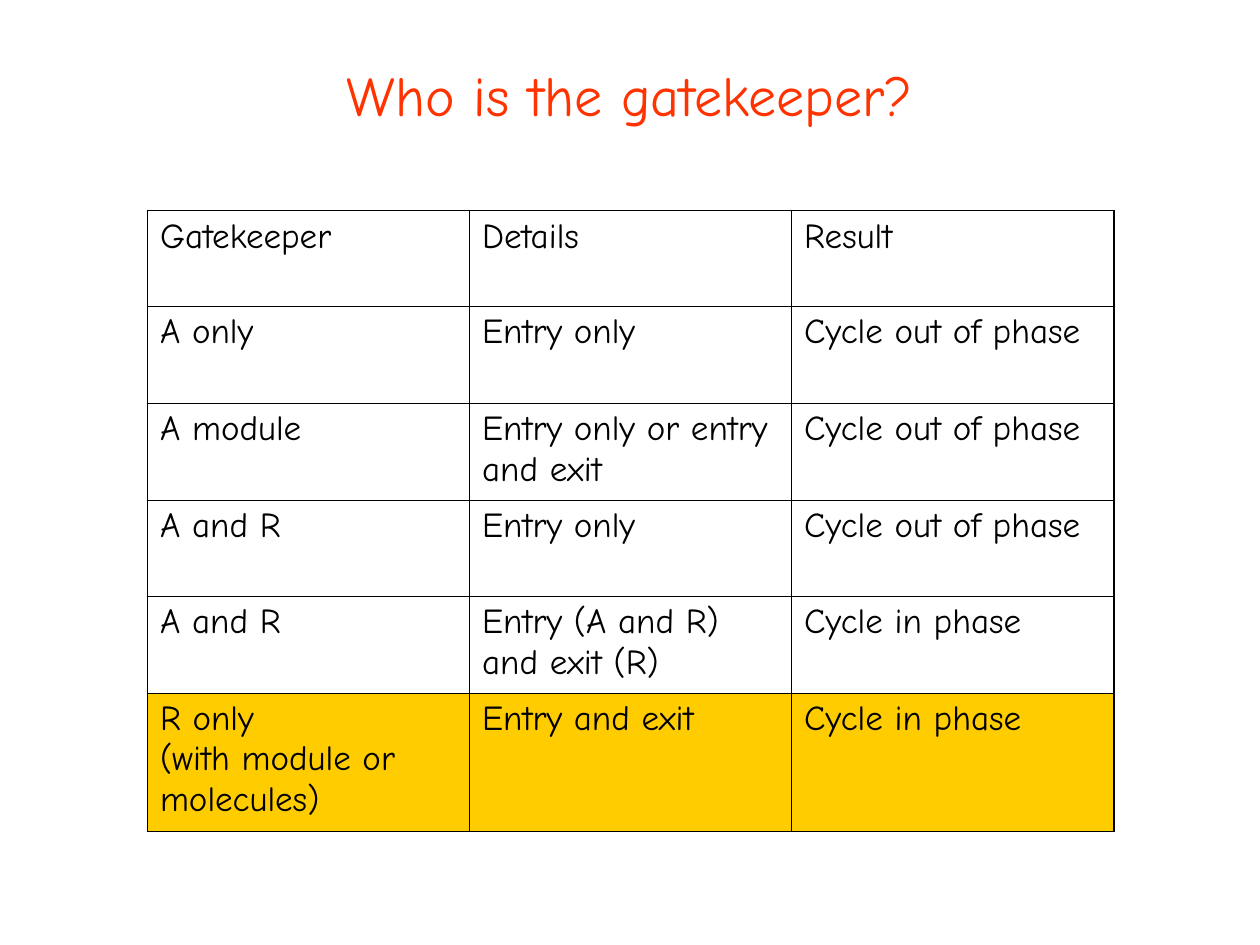
from lxml.etree import SubElement
from pptx import Presentation
from pptx.dml.color import RGBColor
from pptx.enum.text import MSO_ANCHOR, PP_ALIGN
from pptx.oxml.ns import qn
from pptx.util import Inches, Pt

W, H = Inches(10), Inches(7.5)
FONT = "Comic Neue"
COLORS = {"title": "FF3300", "text": "000000", "border": "000000", "highlight": "FFCC00"}
OUTER, INNER = Pt(1.08), Pt(0.45)
ROW_HEIGHTS = [0.76, 0.77, 0.77, 0.76, 0.77, 1.1]
ROWS = [
    ["Gatekeeper", "Details", "Result"],
    ["A only", "Entry only", "Cycle out of phase"],
    ["A module", "Entry only or entry and exit", "Cycle out of phase"],
    ["A and R", "Entry only", "Cycle out of phase"],
    ["A and R", "Entry (A and R) and exit (R)", "Cycle in phase"],
    ["R only\n(with module or molecules)", "Entry and exit", "Cycle in phase"],
]


def add_text(p, text, size, color):
    """Add one run per line of text, with line breaks between them."""
    for i, line in enumerate(text.split("\n")):
        if i:
            p.add_line_break()
        r = p.add_run()
        r.text = line
        r.font.name = FONT
        r.font.size = Pt(size)
        r.font.color.rgb = RGBColor.from_string(COLORS[color])


def add_title(s, box, text):
    tf = s.shapes.add_textbox(*box).text_frame
    tf.word_wrap = True
    tf.vertical_anchor = MSO_ANCHOR.MIDDLE
    p = tf.paragraphs[0]
    p.alignment = PP_ALIGN.CENTER
    add_text(p, text, 32, "title")


def set_borders(cell, widths):
    """Draw the cell's borders; widths are left, right, top, bottom."""
    tc_pr = cell._tc.get_or_add_tcPr()
    for side, width in zip("LRTB", widths):
        ln = SubElement(tc_pr, qn(f"a:ln{side}"), w=str(width))
        fill = SubElement(ln, qn("a:solidFill"))
        SubElement(fill, qn("a:srgbClr"), val=COLORS["border"])


def add_gatekeeper_table(s, box, rows, heights):
    """Add a table with a heavier outer frame and a highlighted last row."""
    last_row, last_col = len(rows) - 1, len(rows[0]) - 1
    table = s.shapes.add_table(len(rows), len(rows[0]), *box).table
    table.first_row = table.horz_banding = False
    for row, height in zip(table.rows, heights):
        row.height = Inches(height)
    for i, texts in enumerate(rows):
        for j, text in enumerate(texts):
            cell = table.cell(i, j)
            edges = (j == 0, j == last_col, i == 0, i == last_row)
            set_borders(cell, [OUTER if edge else INNER for edge in edges])
            if i == last_row:
                cell.fill.solid()
                cell.fill.fore_color.rgb = RGBColor.from_string(COLORS["highlight"])
            else:
                cell.fill.background()
            add_text(cell.text_frame.paragraphs[0], text, 20, "text")


def main():
    prs = Presentation()
    prs.slide_width, prs.slide_height = W, H
    s = prs.slides.add_slide(prs.slide_layouts[6])
    add_title(s, (Inches(0.5), Inches(0.33), Inches(9), Inches(0.83)),
              "Who is the gatekeeper?")
    add_gatekeeper_table(
        s, (Inches(1.17), Inches(1.67), Inches(7.67), Inches(sum(ROW_HEIGHTS))),
        ROWS, ROW_HEIGHTS)
    prs.save("out.pptx")


if __name__ == "__main__":
    main()
